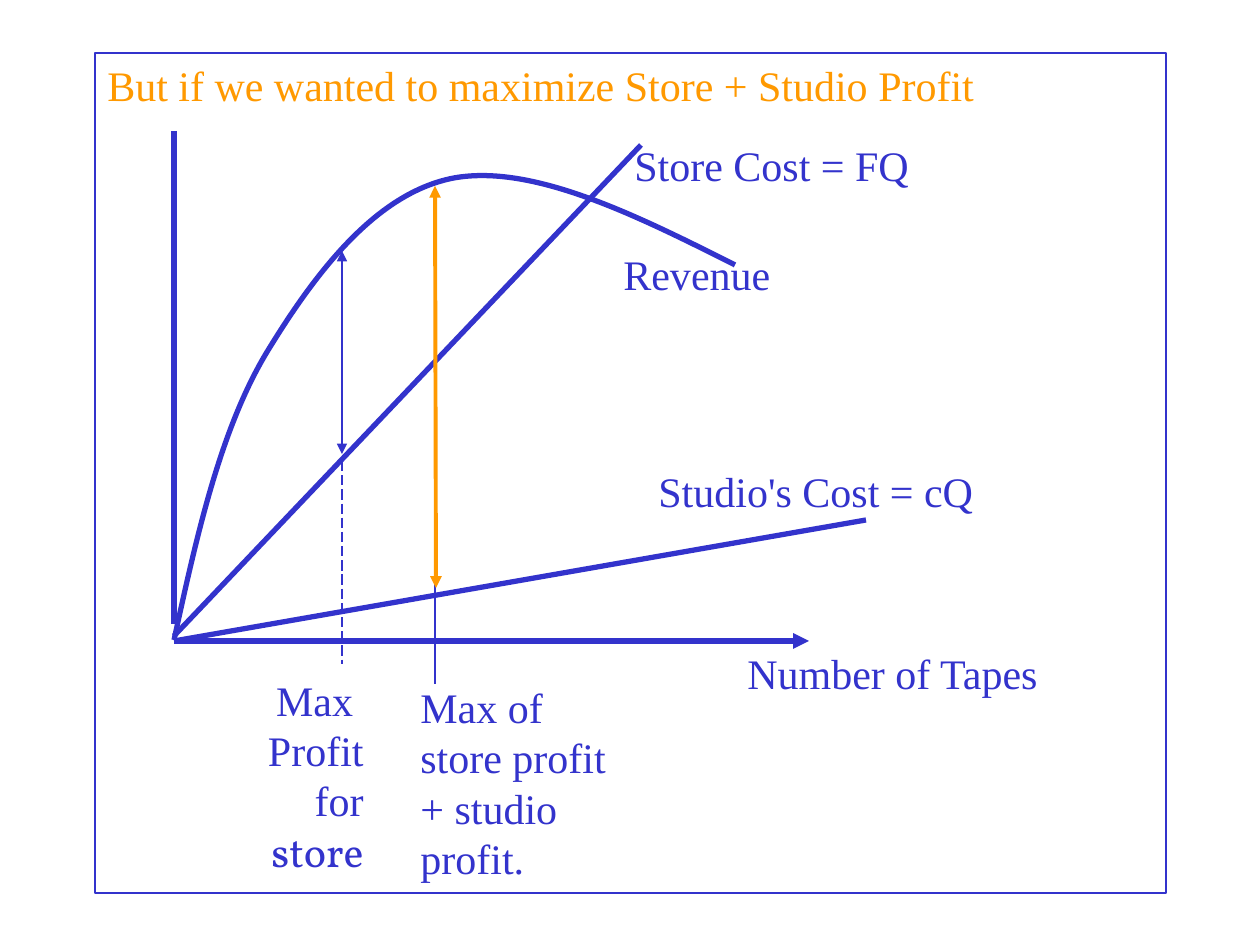
import pptx
import pptx.dml.color
import pptx.enum.dml
import pptx.enum.shapes
import pptx.enum.text
import pptx.oxml.ns
import pptx.util
from lxml import etree

EMU_PER_PX = 914400 / 126
BLUE, ORANGE = "3333CC", "FF9900"
SERIF, DISPLAY = "Times New Roman", "Vollkorn"
LEFT, RIGHT = pptx.enum.text.PP_ALIGN.LEFT, pptx.enum.text.PP_ALIGN.RIGHT

FRAME = (95, 53, 1071, 840)
TITLE = "But if we wanted to maximize Store + Studio Profit"

# Labels: place in px, alignment, paragraphs as (text, font)
LABELS = [
    ((226, 668, 150, 228), RIGHT,
     [("Max ", SERIF), ("Profit for", SERIF), ("store", DISPLAY)]),
    ((408, 675, 217, 233), LEFT,
     [("Max of store profit + studio profit.", SERIF)]),
    ((611, 242, 336, 174), LEFT, [("Revenue", SERIF)]),
    ((735, 641, 353, 145), LEFT, [("Number of Tapes", SERIF)]),
    ((622, 133, 324, 174), LEFT, [("Store Cost = FQ", SERIF)]),
    ((646, 459, 355, 89), LEFT, [("Studio's Cost = cQ", SERIF)]),
]

# Revenue: start point, then two control points and an end point per segment
REVENUE = [(174, 640), (197, 534), (221, 428), (267, 352),
           (314, 275), (375, 193), (454, 178), (532, 164), (634, 214), (735, 265)]

# Lines: start, end, colour, width in points, arrowed ends, dashed
AXES = [
    ((174, 131), (174, 624), BLUE, 3, (), False),
    ((174, 641), (809, 641), BLUE, 3, ("tailEnd",), False),
]
BOTH = ("headEnd", "tailEnd")
COSTS_AND_MARKS = [
    ((174, 636), (641, 145), BLUE, 3, (), False),         # store cost
    ((342, 251), (342, 454), BLUE, 0.75, BOTH, False),    # store profit
    ((435, 192), (435, 684), BLUE, 0.75, (), False),      # joint optimum
    ((342, 461), (342, 664), BLUE, 0.75, (), True),       # store optimum
    ((174, 641), (866, 520), BLUE, 3, (), False),         # studio cost
    ((435, 186), (436, 588), ORANGE, 2.25, BOTH, False),  # joint profit
]


def px(value):
    return round(value * EMU_PER_PX)


def color(hex_text):
    return pptx.dml.color.RGBColor.from_string(hex_text)


def style_line(line, hex_text, width):
    line.color.rgb = color(hex_text)
    line.width = pptx.util.Pt(width)


def write(shape, paragraphs, hex_text, align=LEFT):
    frame = shape.text_frame
    frame.word_wrap = True
    frame.vertical_anchor = pptx.enum.text.MSO_ANCHOR.TOP
    frame.text = "\n".join(text for text, font in paragraphs)
    for para, (text, font) in zip(frame.paragraphs, paragraphs):
        para.alignment = align
        for span in para.runs:
            span.font.name = font
            span.font.size = pptx.util.Pt(24)
            span.font.color.rgb = color(hex_text)


def add_lines(page, lines):
    for start, end, hex_text, width, arrows, dashed in lines:
        line = page.shapes.add_connector(
            pptx.enum.shapes.MSO_CONNECTOR.STRAIGHT,
            *(px(value) for value in start + end))
        style_line(line.line, hex_text, width)
        if dashed:
            line.line.dash_style = pptx.enum.dml.MSO_LINE.LONG_DASH
        outline = line.line._get_or_add_ln()
        for arrow in arrows:
            etree.SubElement(outline, pptx.oxml.ns.qn("a:" + arrow), type="triangle")
        etree.SubElement(line._element.spPr, pptx.oxml.ns.qn("a:effectLst"))


def add_curve(page, points):
    points = [(px(x), px(y)) for x, y in points]
    builder = page.shapes.build_freeform(*points[0])
    builder.add_line_segments(points[1:], close=False)
    curve = builder.convert_to_shape()
    curve.shadow.inherit = False
    curve.fill.background()
    style_line(curve.line, BLUE, 3)
    # Turn each three straight steps into one cubic segment
    steps = list(curve._element.iter(pptx.oxml.ns.qn("a:lnTo")))
    for first in range(0, len(steps), 3):
        cubic = etree.Element(pptx.oxml.ns.qn("a:cubicBezTo"))
        steps[first].addprevious(cubic)
        for step in steps[first:first + 3]:
            cubic.append(step[0])
            step.getparent().remove(step)


def main():
    deck = pptx.Presentation()
    deck.slide_width, deck.slide_height = px(1260), px(945)
    page = deck.slides.add_slide(deck.slide_layouts[6])

    # Frame with title
    frame = page.shapes.add_shape(
        pptx.enum.shapes.MSO_SHAPE.RECTANGLE, *(px(value) for value in FRAME))
    frame.shadow.inherit = False
    frame.fill.background()
    style_line(frame.line, BLUE, 0.75)
    write(frame, [(TITLE, SERIF)], ORANGE)

    # Diagram
    add_lines(page, AXES)
    add_curve(page, REVENUE)
    add_lines(page, COSTS_AND_MARKS)

    # Labels
    for place, align, paragraphs in LABELS:
        box = page.shapes.add_textbox(*(px(value) for value in place))
        write(box, paragraphs, BLUE, align)

    deck.save("out.pptx")


if __name__ == "__main__":
    main()
